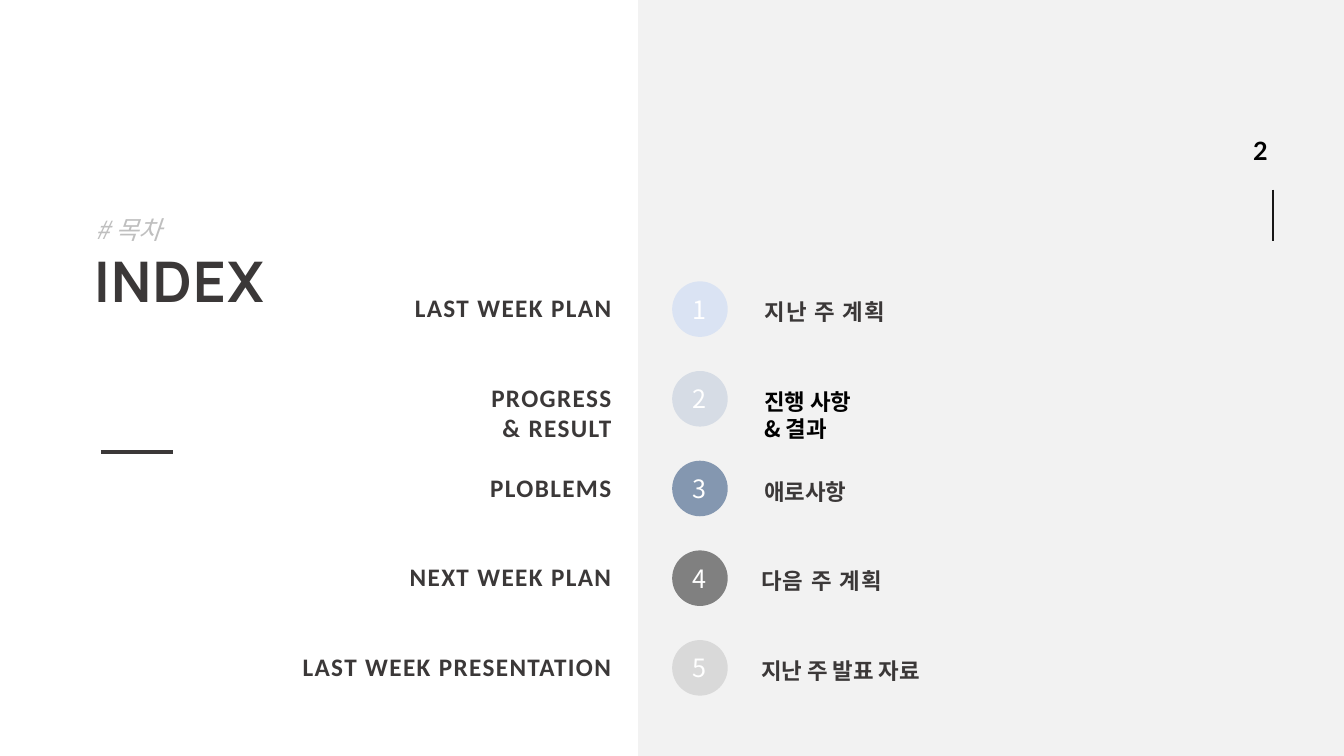
from lxml import etree
from pptx import Presentation, util as u
from pptx.dml.color import RGBColor
from pptx.enum import shapes as sh, text as tx
from pptx.oxml import ns

DARK, BLACK, WHITE, PANEL, PALE = "3B3838", "000000", "FFFFFF", "F2F2F2", "BFBFBF"
KOREAN = "Noto Sans CJK KR"

heading = "INDEX"
tagline = "# 목차"
page_number = "2"
agenda = [
    {"english": "LAST WEEK PLAN", "korean": "지난 주 계획", "circle": "DAE3F3",
     "ink": DARK, "left": 19.13, "spacing": 1},
    {"english": "PROGRESS\n& RESULT", "korean": "진행 사항\n& 결과", "circle": "D6DCE5",
     "ink": BLACK, "left": 19.13, "spacing": 0},
    {"english": "PLOBLEMS", "korean": "애로사항", "circle": "8497B0",
     "ink": DARK, "left": 19.13, "spacing": 0},
    {"english": "NEXT WEEK PLAN", "korean": "다음 주 계획", "circle": "808080",
     "ink": DARK, "left": 19.05, "spacing": 1},
    {"english": "LAST WEEK PRESENTATION", "korean": "지난 주 발표 자료", "circle": "D9D9D9",
     "ink": DARK, "left": 19.05, "spacing": 0},
]

FIRST_TOP, ROW_PITCH, DIAMETER = 7.09, 2.26, 1.4
CIRCLE_LEFT = 16.94
ENGLISH_LEFT, ENGLISH_WIDTH, ENGLISH_DROP = 7.06, 8.48, 0.15
KOREAN_WIDTH, KOREAN_DROP = 6.8, 0.3

deck = Presentation()
deck.slide_width, deck.slide_height = u.Cm(33.87), u.Cm(19.05)
slide = deck.slides.add_slide(deck.slide_layouts[6])


def color(hex_value):
    return RGBColor.from_string(hex_value)


def write(shape, content, font, size, ink, bold=False, italic=False, spacing=0,
          align=tx.PP_ALIGN.LEFT, inset=0.13):
    frame = shape.text_frame
    frame.text = content
    frame.margin_left = frame.margin_right = u.Cm(inset)
    frame.margin_top = frame.margin_bottom = u.Cm(inset)
    for paragraph in frame.paragraphs:
        paragraph.alignment = align
        for run in paragraph.runs:
            run.font.name, run.font.size = font, u.Pt(size)
            run.font.bold, run.font.italic = bold, italic
            run.font.color.rgb = color(ink)
            properties = run.font._element
            etree.SubElement(properties, ns.qn("a:ea")).set("typeface", font)
            if spacing:
                properties.set("spc", str(spacing * 100))
    return frame


def add_text(left, top, width, height, content, font, size, ink, wrap=True, **style):
    box = slide.shapes.add_textbox(u.Cm(left), u.Cm(top), u.Cm(width), u.Cm(height))
    frame = write(box, content, font, size, ink, **style)
    frame.word_wrap = wrap
    return frame


def add_filled(kind, left, top, width, height, fill):
    shape = slide.shapes.add_shape(kind, u.Cm(left), u.Cm(top), u.Cm(width), u.Cm(height))
    shape.shadow.inherit = False
    shape.fill.solid()
    shape.fill.fore_color.rgb = color(fill)
    shape.line.fill.background()
    return shape


def add_rule(x1, y1, x2, y2, ink, weight):
    rule = slide.shapes.add_connector(
        sh.MSO_CONNECTOR.STRAIGHT, u.Cm(x1), u.Cm(y1), u.Cm(x2), u.Cm(y2))
    rule.line.color.rgb = color(ink)
    rule.line.width = u.Pt(weight)
    etree.SubElement(rule._element.spPr, ns.qn("a:effectLst"))


add_filled(sh.MSO_SHAPE.RECTANGLE, 16.08, 0, 17.79, 19.05, PANEL)
add_rule(32.08, 4.78, 32.08, 6.07, "181717", 1.5)
add_text(31.45, 3.28, 0.64, 1.04, page_number, "Lato", 18, BLACK, wrap=False, bold=True)

title = add_text(2.24, 6.27, 9.02, 3.76, heading, "Manrope", 40, DARK, bold=True, spacing=1)
title.paragraphs[0].line_spacing = 0.9
add_rule(2.54, 11.4, 4.37, 11.4, DARK, 2.75)
subtitle = add_text(2.29, 5.41, 11, 1.04, tagline, KOREAN, 18, PALE, italic=True)
subtitle.paragraphs[0].line_spacing = u.Pt(18)
subtitle.paragraphs[0].space_before = u.Pt(12)

for index, item in enumerate(agenda):
    top = FIRST_TOP + index * ROW_PITCH
    circle = add_filled(sh.MSO_SHAPE.OVAL, CIRCLE_LEFT, top, DIAMETER, DIAMETER, item["circle"])
    number = write(circle, str(index + 1), KOREAN, 18, WHITE,
                   align=tx.PP_ALIGN.CENTER, inset=0)
    number.vertical_anchor = tx.MSO_ANCHOR.MIDDLE
    lines = item["english"].count("\n") + 1
    add_text(ENGLISH_LEFT, top + ENGLISH_DROP, ENGLISH_WIDTH, 0.28 + 0.76 * lines,
             item["english"], "Calibri", 18, DARK, bold=True, spacing=1,
             align=tx.PP_ALIGN.RIGHT)
    add_text(item["left"], top + KOREAN_DROP, KOREAN_WIDTH, 0.26 + 0.7 * lines,
             item["korean"], KOREAN, 16, item["ink"], bold=True, spacing=item["spacing"])

deck.save("out.pptx")
